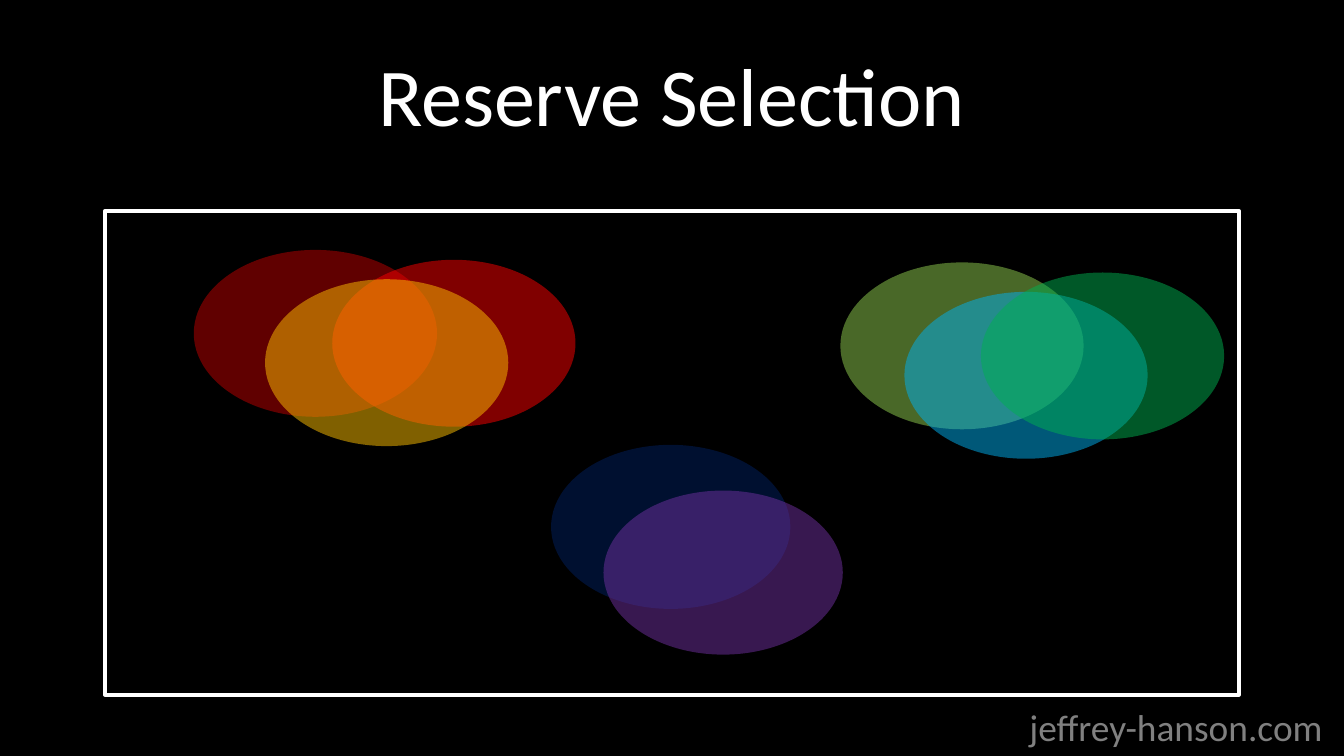
from dataclasses import dataclass

import lxml.etree
import pptx
import pptx.dml.color
import pptx.enum.shapes
import pptx.enum.text
import pptx.oxml.ns
import pptx.util

Pt = pptx.util.Pt
SHAPES = pptx.enum.shapes.MSO_SHAPE
ALIGN = pptx.enum.text.PP_ALIGN


@dataclass(frozen=True)
class Theme:
    font: str = "Calibri"
    background: str = "000000"
    foreground: str = "FFFFFF"
    muted: str = "808080"
    title_size: float = 44
    footer_size: float = 20
    frame_width: float = 2
    opacity: int = 50


THEME = Theme()

# Ellipse sizes: the outer groups share one, the lower group is slightly smaller
WIDE = (130.3, 89.4)
SMALL = (128.2, 87.9)

# Species ranges from back to front: left, top, size, colour
RANGES = [
    (295.2, 238.3, SMALL, "002060"),
    (103.8, 133.9, WIDE, "C00000"),
    (178, 139.2, WIDE, "FF0000"),
    (450.2, 140.6, WIDE, "92D050"),
    (484.5, 156.4, WIDE, "00B0F0"),
    (525.5, 146, WIDE, "00B050"),
    (323.3, 262.8, SMALL, "7030A0"),
    (142, 149.6, WIDE, "FFC000"),
]


def rgb(color):
    return pptx.dml.color.RGBColor.from_string(color)


def place(shape, left, top, width, height):
    shape.left, shape.top = Pt(left), Pt(top)
    shape.width, shape.height = Pt(width), Pt(height)


def write(frame, text, size, color, alignment):
    frame.text = text
    para = frame.paragraphs[0]
    para.alignment = alignment
    for span in para.runs:
        span.font.name = THEME.font
        span.font.size = Pt(size)
        span.font.color.rgb = rgb(color)


def add_title(page, text):
    title = page.shapes.title
    place(title, 36, 16.2, 648, 67.5)
    write(title.text_frame, text, THEME.title_size, THEME.foreground, ALIGN.CENTER)
    title.text_frame.vertical_anchor = pptx.enum.text.MSO_ANCHOR.MIDDLE


def add_study_area(page, left, top, width, height):
    area = page.shapes.add_shape(
        SHAPES.RECTANGLE, Pt(left), Pt(top), Pt(width), Pt(height))
    area.shadow.inherit = False
    area.fill.background()
    area.line.color.rgb = rgb(THEME.foreground)
    area.line.width = Pt(THEME.frame_width)


def add_range(page, left, top, size, color):
    ellipse = page.shapes.add_shape(
        SHAPES.OVAL, Pt(left), Pt(top), Pt(size[0]), Pt(size[1]))
    ellipse.shadow.inherit = False
    ellipse.line.fill.background()
    ellipse.fill.solid()
    ellipse.fill.fore_color.rgb = rgb(color)
    # Transparency
    qualified = pptx.oxml.ns.qn
    fill_color = ellipse._element.spPr.find(
        f"{qualified('a:solidFill')}/{qualified('a:srgbClr')}")
    alpha = lxml.etree.SubElement(fill_color, qualified("a:alpha"))
    alpha.set("val", str(THEME.opacity * 1000))


def add_footer(page, text):
    box = page.shapes.add_textbox(Pt(544.4), Pt(373.5), Pt(173.5), Pt(31.5))
    box.text_frame.word_wrap = False
    box.text_frame.auto_size = pptx.enum.text.MSO_AUTO_SIZE.SHAPE_TO_FIT_TEXT
    write(box.text_frame, text, THEME.footer_size, THEME.muted, ALIGN.LEFT)


def main():
    deck = pptx.Presentation()
    deck.slide_width, deck.slide_height = Pt(720), Pt(405)
    page = deck.slides.add_slide(deck.slide_layouts.get_by_name("Title Only"))
    page.background.fill.solid()
    page.background.fill.fore_color.rgb = rgb(THEME.background)

    # Heading
    add_title(page, "Reserve Selection")

    # Study area with overlapping ranges
    add_study_area(page, 56.2, 113, 607.5, 259.2)
    for left, top, size, color in RANGES:
        add_range(page, left, top, size, color)

    # Web address
    add_footer(page, "jeffrey-hanson.com")

    deck.save("out.pptx")


if __name__ == "__main__":
    main()
